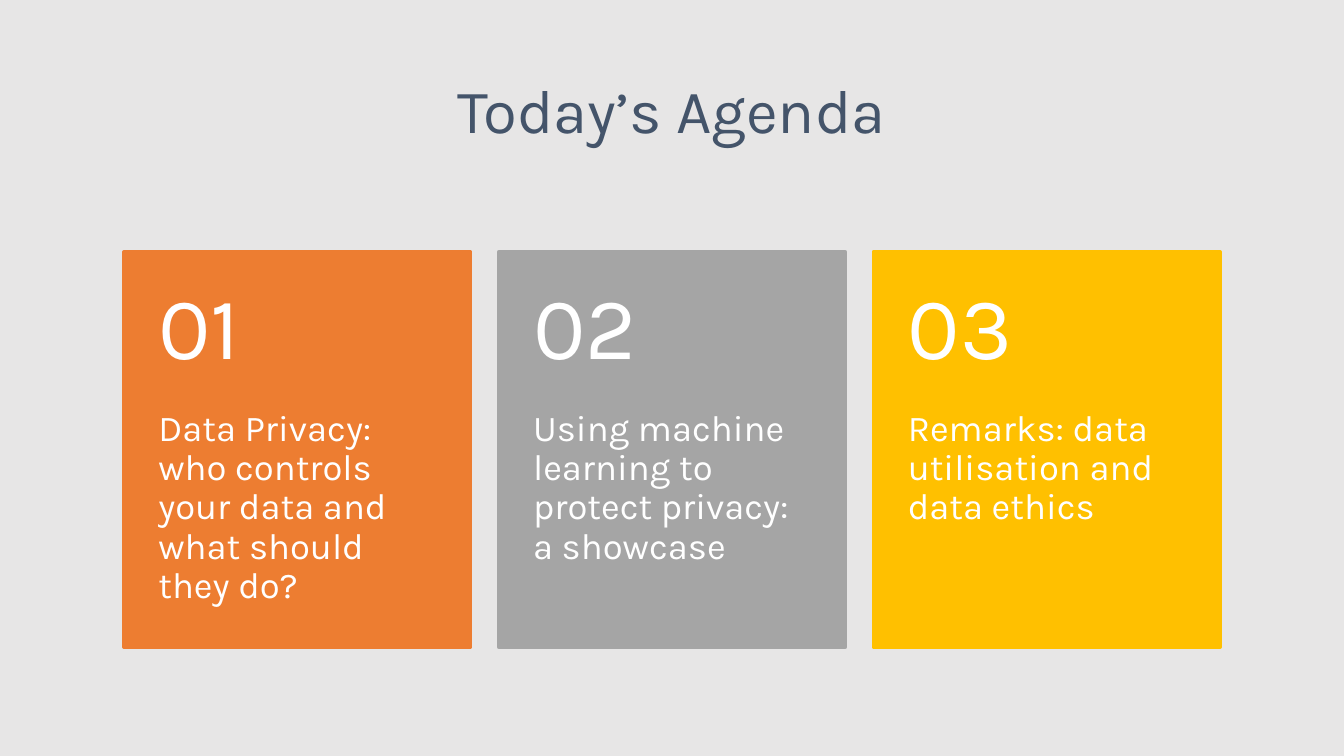
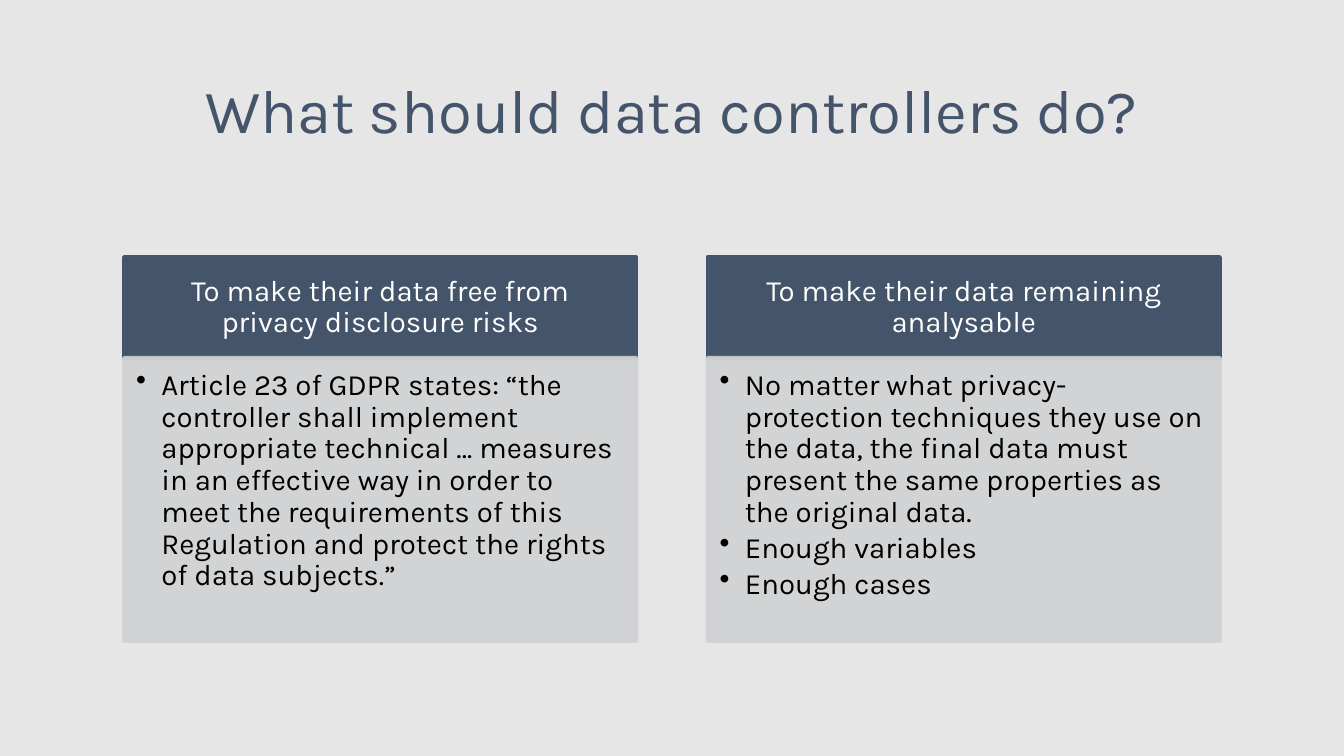
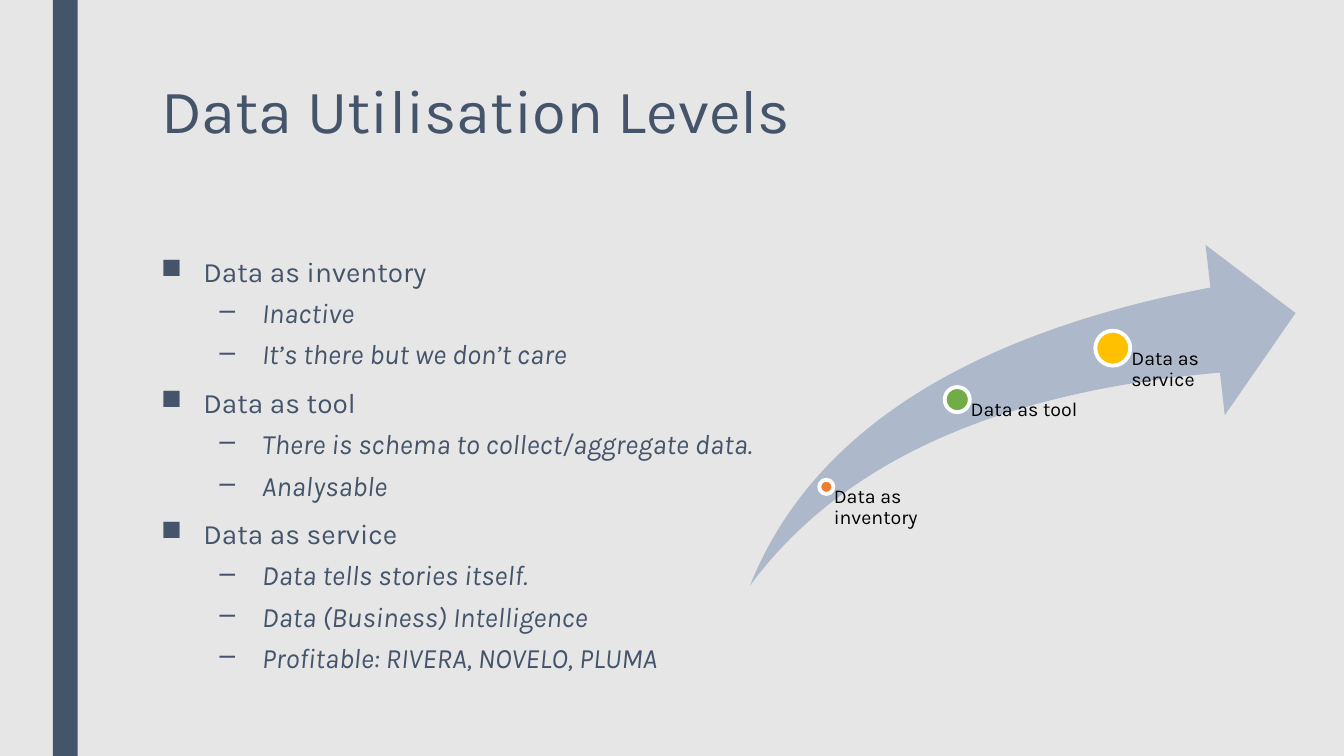
from lxml.etree import SubElement
from pptx import Presentation
from pptx.dml.color import RGBColor
from pptx.enum.shapes import MSO_SHAPE
from pptx.enum.text import MSO_ANCHOR, PP_ALIGN
from pptx.oxml.ns import qn
from pptx.util import Inches, Pt

WIDTH, HEIGHT = 13.33, 7.5
FONT = "Karla"
BACKGROUND, NAVY, WHITE, BLACK = "E7E6E6", "44546A", "FFFFFF", "000000"
ORANGE, GREY, GOLD, GREEN = "ED7D31", "A5A5A5", "FFC000", "70AD47"
PANEL, ARROW = "CFD1D4", "ADB9CA"
MARGIN = 9.23
CONTENT_TOP = 33.33


def color(value):
    return RGBColor.from_string(value)


def columns(count, gap):
    """Return the left edges and the common width of equal columns."""
    width = (100 - 2 * MARGIN - gap * (count - 1)) / count
    return [MARGIN + index * (width + gap) for index in range(count)], width


class Deck:
    """Holds the style and the current slide; places are percentages of its size."""

    def __init__(self):
        self.presentation = Presentation()
        self.presentation.slide_width = Inches(WIDTH)
        self.presentation.slide_height = Inches(HEIGHT)
        self.slide = None

    def add_slide(self):
        self.slide = self.presentation.slides.add_slide(self.presentation.slide_layouts[6])
        fill = self.slide.background.fill
        fill.solid()
        fill.fore_color.rgb = color(BACKGROUND)

    def place(self, left, top, width, height):
        return (Inches(left * WIDTH / 100), Inches(top * HEIGHT / 100),
                Inches(width * WIDTH / 100), Inches(height * HEIGHT / 100))

    def shape(self, kind, box, fill, line=None, opacity=100):
        shape = self.slide.shapes.add_shape(kind, *self.place(*box))
        shape.shadow.inherit = False
        shape.fill.solid()
        shape.fill.fore_color.rgb = color(fill)
        if line:
            shape.line.color.rgb = color(line)
            shape.line.width = Pt(2.75)
        else:
            shape.line.fill.background()
        if opacity < 100:
            for value in shape.element.spPr.iter(qn("a:srgbClr")):
                SubElement(value, qn("a:alpha"), val=str(opacity * 1000))
        return shape

    def text_box(self, box):
        return self.slide.shapes.add_textbox(*self.place(*box))

    def frame(self, shape, insets=(0.1, 0.05, 0.1, 0.05), anchor=MSO_ANCHOR.TOP):
        """Prepare the text frame; insets are left, top, right, bottom in inches."""
        frame = shape.text_frame
        frame.word_wrap = True
        frame.vertical_anchor = anchor
        (frame.margin_left, frame.margin_top,
         frame.margin_right, frame.margin_bottom) = map(Inches, insets)
        return frame

    def paragraph(self, frame, text, size, text_color, align=PP_ALIGN.LEFT,
                  line_spacing=0.9, before=0, after=0, italic=False):
        paragraph = frame.paragraphs[0]
        if paragraph.runs:
            paragraph = frame.add_paragraph()
        paragraph.alignment = align
        paragraph.line_spacing = line_spacing
        paragraph.space_before = Pt(before)
        paragraph.space_after = Pt(after)
        run = paragraph.add_run()
        run.text = text
        run.font.name = FONT
        run.font.size = Pt(size)
        run.font.italic = italic
        run.font.color.rgb = color(text_color)
        return paragraph

    def bullet(self, paragraph, character, indent, hanging):
        properties = paragraph._p.get_or_add_pPr()
        properties.set("marL", str(Inches(indent)))
        properties.set("indent", str(-Inches(hanging)))
        SubElement(properties, qn("a:buChar"), char=character)

    def title(self, text, left=5.25, align=PP_ALIGN.CENTER):
        frame = self.frame(self.text_box((left, 10, 100 - 2 * left, 21.6)))
        self.paragraph(frame, text, 44, NAVY, align, line_spacing=0.89)

    def stripe(self):
        self.shape(MSO_SHAPE.RECTANGLE, (3.94, 0, 1.85, 100), NAVY)

    def agenda_card(self, left, width, fill, number, text):
        height = 52.27
        number_height = 0.4 * height
        self.shape(MSO_SHAPE.RECTANGLE, (left, CONTENT_TOP, width, height), fill, fill)
        number_box = self.text_box((left, CONTENT_TOP, width, number_height))
        frame = self.frame(number_box, (0.34, 0.18, 0.34, 0.18), MSO_ANCHOR.MIDDLE)
        self.paragraph(frame, number, 63, WHITE)
        topic_box = self.text_box((left, CONTENT_TOP + number_height, width,
                                   height - number_height))
        self.paragraph(self.frame(topic_box, (0.34, 0, 0.34, 0.36)), text, 26, WHITE)

    def duty_panel(self, left, width, heading, points):
        top, heading_height = 34, 13.33
        header = self.shape(MSO_SHAPE.RECTANGLE, (left, top, width, heading_height), NAVY, NAVY)
        frame = self.frame(header, (0.16, 0.09, 0.16, 0.09), MSO_ANCHOR.MIDDLE)
        self.paragraph(frame, heading, 21, WHITE, PP_ALIGN.CENTER)
        body = self.shape(MSO_SHAPE.RECTANGLE, (left, top + heading_height, width, 37.47),
                          PANEL, PANEL, opacity=90)
        frame = self.frame(body, (0.12, 0.12, 0.16, 0.18))
        for point in points:
            paragraph = self.paragraph(frame, point, 21, BLACK, after=3)
            self.bullet(paragraph, "•", 0.25, 0.25)

    def outline(self, left, sections):
        frame = self.frame(self.text_box((left, CONTENT_TOP, 100 - 2 * left, 56.67)))
        for heading, details in sections:
            paragraph = self.paragraph(frame, heading, 20, NAVY, line_spacing=0.94,
                                       before=10, after=2)
            self.bullet(paragraph, "■", 0.42, 0.42)
            for detail in details:
                paragraph = self.paragraph(frame, detail, 20, NAVY, line_spacing=0.94,
                                           before=5, after=2, italic=True)
                paragraph.level = 1
                self.bullet(paragraph, "–", 1, 0.42)

    def growth_arrow(self, box, stages):
        """Draw the arrow; stage places and diameters are shares of its size."""
        left, top, width, height = box
        arrow = self.shape(MSO_SHAPE.SWOOSH_ARROW, box, ARROW)
        arrow.adjustments[0] = arrow.adjustments[1] = 0.25
        for label, fill, across, down, share, label_share in stages:
            center, middle = left + across * width, top + down * height
            diameter = share * width
            tall = diameter * WIDTH / HEIGHT
            self.shape(MSO_SHAPE.OVAL, (center - diameter / 2, middle - tall / 2,
                                        diameter, tall), fill, WHITE)
            label_box = self.text_box((center, middle, label_share * width,
                                       top + height - middle))
            inset = 0.53 * diameter * WIDTH / 100
            self.paragraph(self.frame(label_box, (inset, 0, 0, 0)), label, 14, BLACK)


def agenda_slide(deck):
    deck.add_slide()
    deck.title("Today’s Agenda")
    cards = [
        (ORANGE, "Data Privacy: who controls your data and what should they do?"),
        (GREY, "Using machine learning to protect privacy: a showcase"),
        (GOLD, "Remarks: data utilisation and data ethics"),
    ]
    lefts, width = columns(len(cards), 2.1)
    for number, (left, (fill, text)) in enumerate(zip(lefts, cards), 1):
        deck.agenda_card(left, width, fill, f"{number:02}", text)


def controllers_slide(deck):
    deck.add_slide()
    deck.title("What should data controllers do?")
    panels = [
        ("To make their data free from privacy disclosure risks",
         ["Article 23 of GDPR states: “the controller shall implement appropriate "
          "technical … measures in an effective way in order to meet the requirements "
          "of this Regulation and protect the rights of data subjects.”"]),
        ("To make their data remaining analysable",
         ["No matter what privacy-protection techniques they use on the data, the "
          "final data must present the same properties as the original data.",
          "Enough variables", "Enough cases"]),
    ]
    lefts, width = columns(len(panels), 5.3)
    for left, (heading, points) in zip(lefts, panels):
        deck.duty_panel(left, width, heading, points)


def levels_slide(deck):
    left = 11.25
    deck.add_slide()
    deck.stripe()
    deck.title("Data Utilisation Levels", left, PP_ALIGN.LEFT)
    deck.outline(left, [
        ("Data as inventory", ["Inactive", "It’s there but we don’t care"]),
        ("Data as tool", ["There is schema to collect/aggregate data.", "Analysable"]),
        ("Data as service", ["Data tells stories itself.", "Data (Business) Intelligence",
                             "Profitable: RIVERA, NOVELO, PLUMA"]),
    ])
    deck.growth_arrow((55.8, 32.4, 40.6, 45.07), [
        ("Data as inventory", ORANGE, 0.14, 0.71, 0.026, 0.23),
        ("Data as tool", GREEN, 0.38, 0.454, 0.046, 0.24),
        ("Data as service", GOLD, 0.665, 0.303, 0.064, 0.24),
    ])


def main():
    deck = Deck()
    agenda_slide(deck)
    controllers_slide(deck)
    levels_slide(deck)
    deck.presentation.save("out.pptx")


if __name__ == "__main__":
    main()
